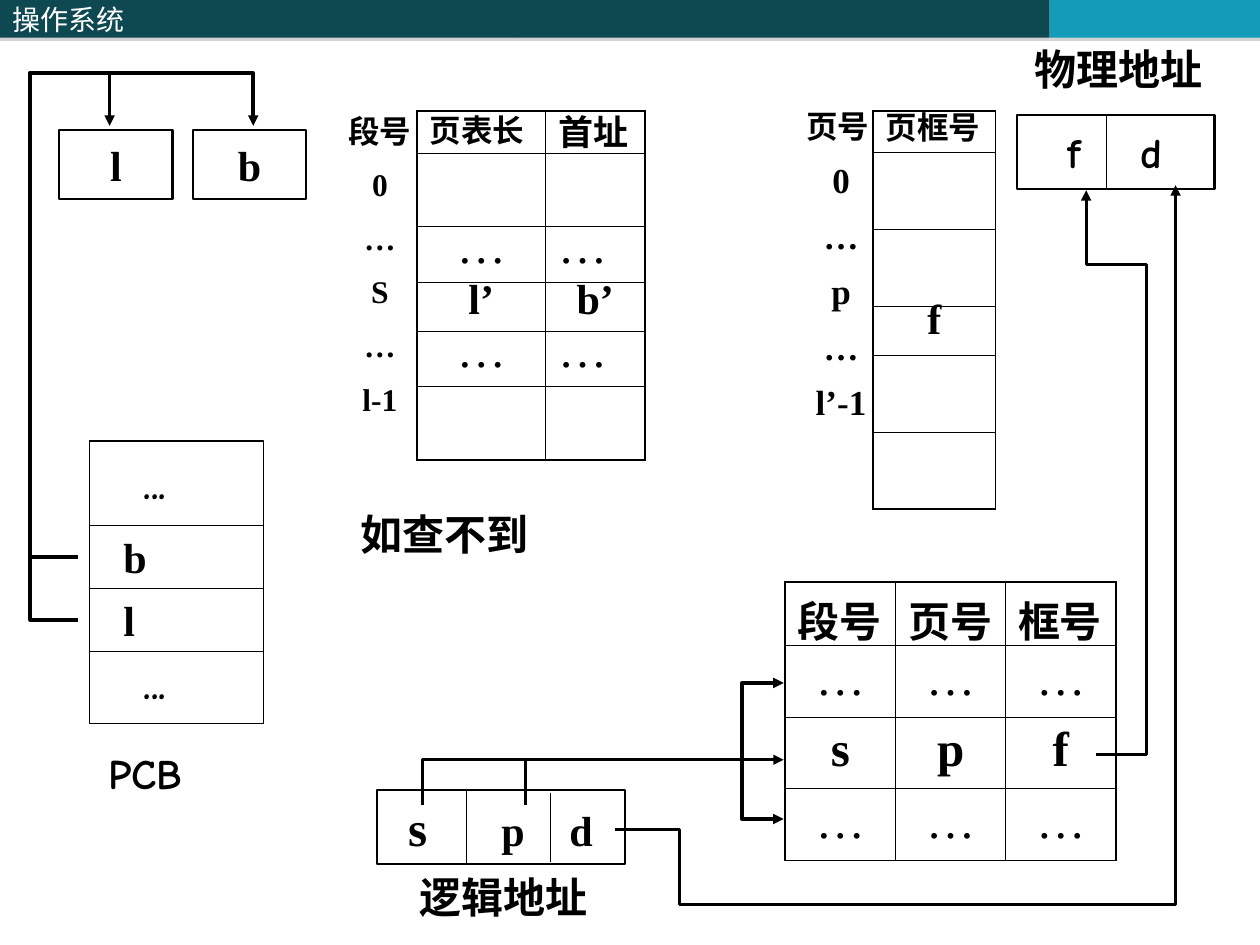
"""Build a slide on segment and page address translation with a fast lookup table."""
from dataclasses import dataclass, replace
from typing import Optional

from lxml.etree import SubElement
from pptx import Presentation
from pptx.dml.color import RGBColor
from pptx.enum.shapes import MSO_CONNECTOR, MSO_SHAPE
from pptx.enum.text import MSO_ANCHOR, PP_ALIGN
from pptx.oxml.ns import qn
from pptx.util import Inches, Pt

BLACK = RGBColor(0x00, 0x00, 0x00)
WHITE = RGBColor(0xFF, 0xFF, 0xFF)
TEAL = RGBColor(0x0E, 0x48, 0x51)
CYAN = RGBColor(0x13, 0x9C, 0xB7)
SERIF, COMIC, SANS, CJK = "Times New Roman", "Comic Neue", "Karla", "Noto Sans CJK SC"
OUTER, INNER = 1.08, 0.45


@dataclass(frozen=True)
class Style:
    size: float
    font: str = SERIF
    bold: bool = True
    align: PP_ALIGN = PP_ALIGN.LEFT
    spacing: Optional[float] = None
    before: float = 0
    color: RGBColor = BLACK


@dataclass(frozen=True)
class Box:
    left: float
    top: float
    width: float
    height: float
    text: str = ""
    style: Style = Style(24)
    anchor: MSO_ANCHOR = MSO_ANCHOR.TOP
    fill: Optional[RGBColor] = WHITE
    line: Optional[float] = None
    inset: float = 0.1
    tabs: tuple[float, ...] = ()
    shadow: bool = False


@dataclass(frozen=True)
class Path:
    points: tuple[tuple[float, float], ...]
    width: float = 1.75
    head: bool = False


@dataclass(frozen=True)
class Grid:
    left: float
    top: float
    columns: tuple[float, ...]
    rows: tuple[float, ...]
    cells: dict[tuple[int, int], tuple[str, Style]]


def format_paragraph(paragraph, style: Style, before: float = 0) -> None:
    paragraph.alignment = style.align
    if style.spacing:
        paragraph.line_spacing = style.spacing
    paragraph.space_before = Pt(before)
    font = paragraph.font
    font.size, font.name, font.bold = Pt(style.size), style.font, style.bold
    font.color.rgb = style.color


def add_box(slide, box: Box):
    place = [Inches(v) for v in (box.left, box.top, box.width, box.height)]
    if box.fill is None:
        shape = slide.shapes.add_textbox(*place)
    else:
        shape = slide.shapes.add_shape(MSO_SHAPE.RECTANGLE, *place)
        shape.shadow.inherit = False
        shape.fill.solid()
        shape.fill.fore_color.rgb = box.fill
        if box.line:
            shape.line.color.rgb = BLACK
            shape.line.width = Pt(box.line)
        else:
            shape.line.fill.background()
    if box.shadow:
        effects = shape._element.spPr.find(qn("a:effectLst"))
        outer = SubElement(effects, qn("a:outerShdw"), dist=str(Pt(1.8)), dir="5400000", rotWithShape="0")
        gray = SubElement(outer, qn("a:srgbClr"), val="808080")
        SubElement(gray, qn("a:alpha"), val="35000")
    if box.text:
        frame = shape.text_frame
        frame.word_wrap = True
        frame.vertical_anchor = box.anchor
        frame.margin_left = Inches(box.inset)
        frame.text = box.text
        paragraph = frame.paragraphs[0]
        if box.tabs:
            stops = SubElement(paragraph._p.get_or_add_pPr(), qn("a:tabLst"))
            for stop in box.tabs:
                SubElement(stops, qn("a:tab"), pos=str(Inches(stop)), algn="l")
        for index, paragraph in enumerate(frame.paragraphs):
            format_paragraph(paragraph, box.style, box.style.before if index else 0)
    return shape


def style_line(line, width: float) -> None:
    line.color.rgb = BLACK
    line.width = Pt(width)


def add_path(slide, path: Path) -> None:
    start, *rest = [(Inches(x), Inches(y)) for x, y in path.points]
    builder = slide.shapes.build_freeform(*start)
    builder.add_line_segments(rest, close=False)
    shape = builder.convert_to_shape()
    shape.shadow.inherit = False
    shape.fill.background()
    style_line(shape.line, path.width)
    outline = shape.line._get_or_add_ln()
    for end in ("a:headEnd", "a:tailEnd")[0 if path.head else 1:]:
        SubElement(outline, qn(end), type="triangle")


def add_rule(slide, x1: float, y1: float, x2: float, y2: float, width: float = 0.75) -> None:
    rule = slide.shapes.add_connector(MSO_CONNECTOR.STRAIGHT, *map(Inches, (x1, y1, x2, y2)))
    style_line(rule.line, width)
    SubElement(rule._element.spPr, qn("a:effectLst"))


def set_borders(cell, outer_sides: dict[str, bool]) -> None:
    properties = cell._tc.get_or_add_tcPr()
    for position, (side, outer) in enumerate(outer_sides.items()):
        border = properties.makeelement(qn(f"a:ln{side}"), {"w": str(Pt(OUTER if outer else INNER))})
        fill = SubElement(border, qn("a:solidFill"))
        SubElement(fill, qn("a:srgbClr"), val=str(BLACK))
        properties.insert(position, border)


def add_grid(slide, grid: Grid) -> None:
    n_rows, n_columns = len(grid.rows), len(grid.columns)
    table = slide.shapes.add_table(
        n_rows, n_columns, Inches(grid.left), Inches(grid.top),
        Inches(sum(grid.columns)), Inches(sum(grid.rows))).table
    table.first_row = table.horz_banding = False
    for column, width in zip(table.columns, grid.columns):
        column.width = Inches(width)
    for r, height in enumerate(grid.rows):
        table.rows[r].height = Inches(height)
        for c in range(n_columns):
            cell = table.cell(r, c)
            cell.fill.background()
            set_borders(cell, {"L": c == 0, "R": c == n_columns - 1, "T": r == 0, "B": r == n_rows - 1})
            if (r, c) in grid.cells:
                cell.text, style = grid.cells[r, c]
                format_paragraph(cell.text_frame.paragraphs[0], style)


def main() -> None:
    deck = Presentation()
    deck.slide_width, deck.slide_height = Inches(10), Inches(7.5)
    slide = deck.slides.add_slide(deck.slide_layouts[6])
    middle, center = MSO_ANCHOR.MIDDLE, PP_ALIGN.CENTER
    serif, comic, sans = Style(24), Style(24, COMIC), Style(24, SANS)
    centered = replace(serif, align=center)
    dots = Style(28, bold=False, align=center)
    entry, tight_dots = replace(centered, spacing=0.7), replace(dots, spacing=0.7)
    left_dots = replace(tight_dots, align=PP_ALIGN.LEFT)

    for box in (
        Box(0, 0, 4.08, 0.3, "操作系统", Style(16, CJK, False, color=WHITE), middle, TEAL, shadow=True),
        Box(4.08, 0, 4.25, 0.3, fill=TEAL, shadow=True),
        Box(8.33, 0, 1.67, 0.3, fill=CYAN, shadow=True),
        Box(0.47, 1.03, 0.9, 0.55, "l", centered, middle, line=1.25),
        Box(1.53, 1.03, 0.9, 0.55, "b", centered, middle, line=1.25),
        Box(0.71, 3.5, 1.38, 2.24, line=0.75),
        Box(0.88, 4.17, 0.38, 0.5, "b"),
        Box(0.88, 4.67, 0.92, 0.5, "l"),
        Box(1.04, 3.58, 0.83, 0.5, "...", comic),
        Box(1.04, 5.17, 0.83, 0.5, "...", comic),
        Box(0.76, 5.88, 1, 0.5, "PCB", comic, fill=None),
        Box(8.07, 0.91, 1.57, 0.59, "f\td", comic, middle, line=1.25, inset=0.4, tabs=(0.58,)),
        Box(8.11, 0.3, 1.73, 0.5, "物理地址", fill=None),
        Box(3.23, 6.87, 1.67, 0.5, "逻辑地址", fill=None),
        Box(2.76, 3.99, 1.89, 0.5, "如查不到", sans, fill=None),
        Box(2.64, 0.87, 0.75, 2.5, "段号\n0\n…\nS\n…\nl-1",
            Style(18, align=center, spacing=0.9, before=11.2), fill=None),
    ):
        add_box(slide, box)

    logical = add_box(slide, Box(2.99, 6.27, 1.97, 0.59, "s\tp\td", serif, middle,
                                 line=1.25, inset=0.25, tabs=(0.74, 1.28)))
    logical_line = logical.text_frame.paragraphs[0]
    logical_line.runs[0].text = "s"
    logical_line.runs[0].font.size = Pt(28)
    logical_line.add_run().text = "\tp\td"

    pages = add_box(slide, Box(6.3, 0.8, 0.75, 2.61, "页号\n0\n…\np\n…\nl’-1",
                               Style(20, align=center, spacing=0.8, before=12.5), fill=None))
    page_heading = pages.text_frame.paragraphs[0]
    page_heading.line_spacing = 1.0
    format_paragraph(page_heading, Style(18, SANS))

    segment_cells = {(0, 0): ("页表长", Style(18, SANS, spacing=0.7)),
                     (0, 1): ("首址", Style(20, SANS, spacing=0.7)),
                     (3, 0): ("l’", entry), (3, 1): ("b’", entry)}
    for r in (2, 4):
        segment_cells |= {(r, 0): ("…", tight_dots), (r, 1): ("…", left_dots)}
    page_cells = {(0, 0): ("页框号", Style(18, SANS, spacing=0.6)), (3, 0): ("f", replace(centered, spacing=0.6))}
    lookup_cells = {(0, c): (heading, sans) for c, heading in enumerate(("段号", "页号", "框号"))}
    for c, field in enumerate("spf"):
        lookup_cells |= {(1, c): ("…", dots), (2, c): (field, replace(dots, bold=True)), (3, c): ("…", dots)}
    add_grid(slide, Grid(3.31, 0.88, (1.02, 0.79), (0.34, 0.58, 0.44, 0.39, 0.44, 0.58), segment_cells))
    add_grid(slide, Grid(6.93, 0.88, (0.97,), (0.33, 0.61, 0.61, 0.39, 0.61, 0.61), page_cells))
    add_grid(slide, Grid(6.23, 4.62, (0.88, 0.87, 0.88), (0.5, 0.57, 0.57, 0.57), lookup_cells))

    for path in (
        Path(((0.62, 4.42), (0.24, 4.42), (0.24, 0.58), (2.01, 0.58), (2.01, 1)), 2),
        Path(((0.62, 4.92), (0.24, 4.92), (0.24, 0.58), (0.87, 0.58), (0.87, 1)), 2),
        Path(((6.22, 5.42), (5.89, 5.42), (5.89, 6.5), (6.22, 6.5)), 2, head=True),
        Path(((3.35, 6.39), (3.35, 6.03), (6.22, 6.03))),
        Path(((8.7, 5.99), (9.1, 5.99), (9.1, 2.1), (8.62, 2.1), (8.62, 1.51))),
        Path(((4.88, 6.58), (5.39, 6.58), (5.39, 7.18), (9.33, 7.18), (9.33, 1.47))),
    ):
        add_path(slide, path)

    for y in (4.17, 4.67, 5.17):
        add_rule(slide, 0.71, y, 2.09, y)
    for x, top, bottom in ((3.7, 6.27, 6.86), (4.37, 6.29, 6.84), (8.78, 0.91, 1.51)):
        add_rule(slide, x, top, x, bottom)
    add_rule(slide, 4.17, 6.39, 4.17, 6.03, 1.75)
    deck.save("out.pptx")


if __name__ == "__main__":
    main()
